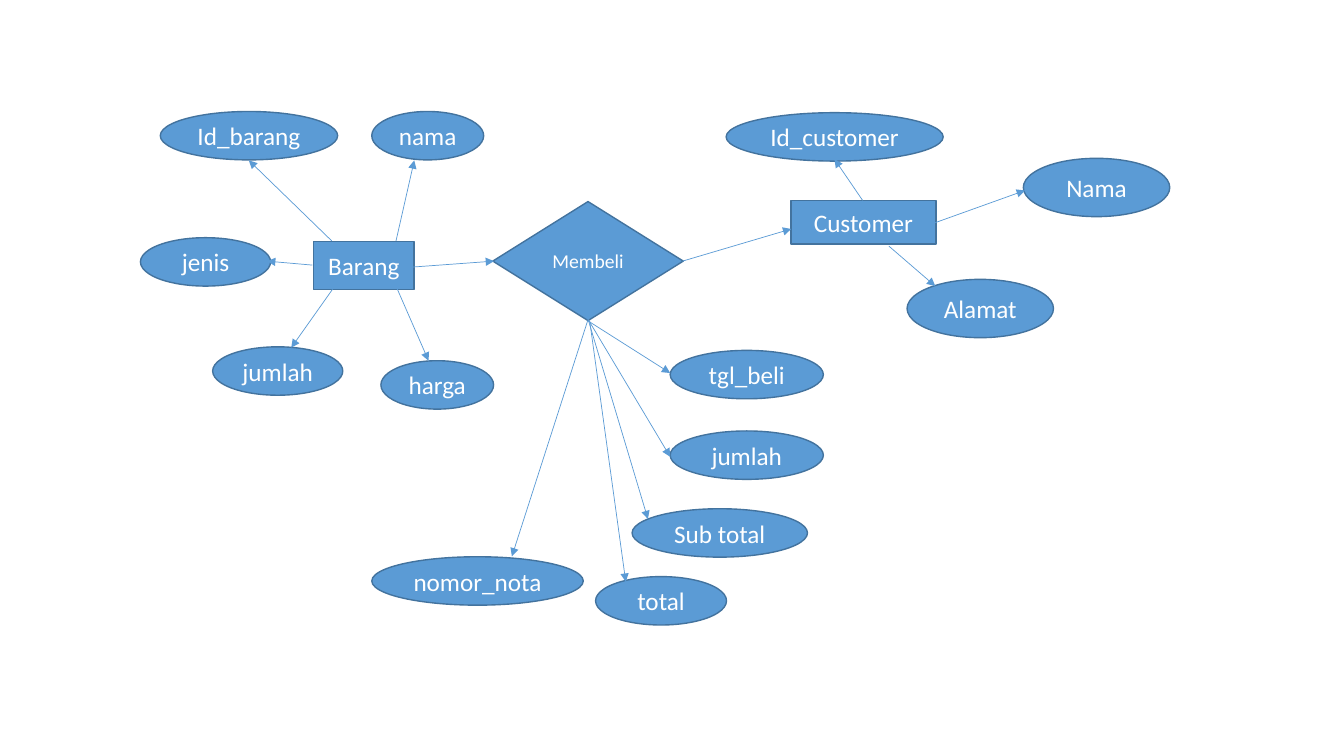
from lxml import etree
from pptx import Presentation
from pptx import util as u
from pptx.dml.color import RGBColor
from pptx.enum import shapes, text
from pptx.oxml.ns import qn

BLUE = RGBColor(0x5B, 0x9B, 0xD5)
OUTLINE = RGBColor(0x43, 0x73, 0x9E)
WHITE = RGBColor(0xFF, 0xFF, 0xFF)
KIND = shapes.MSO_SHAPE


class Diagram:
    """Entity-relationship style on one slide; lengths in cm."""
    font = "Calibri"

    def __init__(self, slide):
        self.s = slide

    def node(self, kind, label, x, y, w, h, size=18):
        sp = self.s.shapes.add_shape(kind, *map(u.Cm, (x, y, w, h)))
        sp.shadow.inherit = False
        sp.fill.solid()
        sp.fill.fore_color.rgb = BLUE
        sp.line.color.rgb = OUTLINE
        sp.line.width = u.Pt(1)
        tf = sp.text_frame
        tf.word_wrap = False
        tf.margin_left = tf.margin_right = tf.margin_top = tf.margin_bottom = 0
        tf.vertical_anchor = text.MSO_ANCHOR.MIDDLE
        p = tf.paragraphs[0]
        p.alignment = text.PP_ALIGN.CENTER
        r = p.add_run()
        r.text = label
        r.font.name = self.font
        r.font.size = u.Pt(size)
        r.font.color.rgb = WHITE

    def entity(self, label, x, y, w, h):
        self.node(KIND.RECTANGLE, label, x, y, w, h)

    def relation(self, label, x, y, w, h):
        self.node(KIND.DIAMOND, label, x, y, w, h, size=14)

    def attribute(self, label, x, y, w, h=1.22):
        self.node(KIND.OVAL, label, x, y, w, h)

    def arrow(self, start, end):
        line = self.s.shapes.add_connector(
            shapes.MSO_CONNECTOR.STRAIGHT, *map(u.Cm, start + end))
        line.line.color.rgb = BLUE
        line.line.width = u.Pt(0.5)
        etree.SubElement(line.get_or_add_ln(), qn("a:tailEnd"), type="triangle")
        etree.SubElement(line.element.spPr, qn("a:effectLst"))


prs = Presentation()
prs.slide_width, prs.slide_height = u.Cm(33.87), u.Cm(19.05)
d = Diagram(prs.slides.add_slide(prs.slide_layouts[6]))

# Attributes: label, box (x, y, w and optional h), arrow start, arrow end
ATTRIBUTES = [
    # Barang
    ("Id_barang", (4.04, 2.81, 4.47), (8.36, 6.07), (6.27, 4.04)),
    ("nama", (9.37, 2.81, 2.82), (9.98, 6.07), (10.44, 4.04)),
    ("jenis", (3.54, 5.99, 3.28), (7.87, 6.68), (6.73, 6.58)),
    ("jumlah", (5.36, 8.74, 3.28), (8.38, 7.29), (7.34, 8.76)),
    ("harga", (9.6, 9.09, 2.84), (9.98, 7.21), (10.8, 9.09)),
    # Membeli
    ("tgl_beli", (16.89, 8.83, 3.86), (14.81, 8.08), (16.89, 9.4)),
    ("jumlah", (16.89, 10.86, 3.86), (14.81, 8.03), (16.89, 11.51)),
    ("Sub total", (15.93, 12.82, 4.42), (14.83, 8.08), (16.33, 13.08)),
    ("total", (15.01, 14.53, 3.3), (14.86, 8.08), (15.77, 14.66)),
    ("nomor_nota", (9.37, 14.03, 5.33), (14.81, 8.08), (12.9, 14.02)),
    # Customer
    ("Id_customer", (18.3, 2.84, 5.47), (21.74, 5.05), (21.03, 4.01)),
    ("Nama", (25.79, 3.99, 3.69, 1.47), (23.57, 5.61), (25.83, 4.8)),
    ("Alamat", (22.86, 7.04, 3.69, 1.47), (22.4, 6.2), (23.57, 7.21)),
]

# Entities and their relation
d.entity("Barang", 7.9, 6.08, 2.54, 1.22)
d.relation("Membeli", 12.42, 5.08, 4.8, 3)
d.entity("Customer", 19.93, 5.06, 3.66, 1.09)
d.arrow((10.39, 6.73), (12.45, 6.58))
d.arrow((17.2, 6.58), (19.94, 5.77))

# Attributes with their arrows
for label, box, start, end in ATTRIBUTES:
    d.attribute(label, *box)
    d.arrow(start, end)

prs.save("out.pptx")
